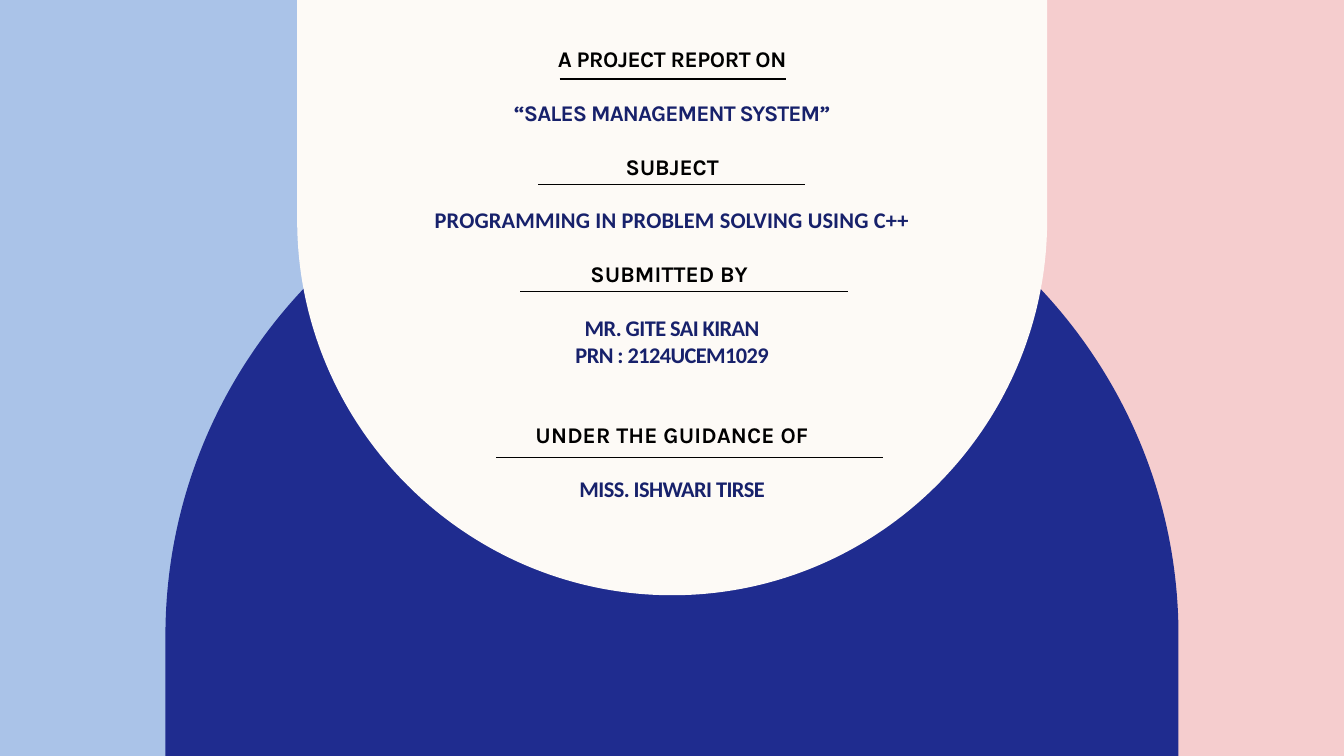
from collections import namedtuple
from dataclasses import dataclass

from lxml import etree
from pptx import Presentation, util as u
from pptx.dml.color import RGBColor
from pptx.enum import shapes, text
from pptx.oxml.ns import qn

Box = namedtuple("Box", "left top width height")
Entry = namedtuple("Entry", "heading heading_spacing lines font spacing gap")
Rule = namedtuple("Rule", "start end top")


@dataclass(frozen=True)
class Theme:
    pink: str = "F5CDCE"
    blue: str = "AAC3E8"
    navy: str = "1F2C8F"
    cream: str = "FDFAF6"
    ink: str = "000000"
    accent: str = "17216B"
    heading_font: str = "Karla"
    name_font: str = "Calibri"
    size: float = 16
    pitch: float = 19.2
    rule_width: float = 1


THEME = Theme()
SLIDE = Box(0, 0, 33.87, 19.05)
BLUE_PANEL = Box(0, 0, 14.71, 19.1)
NAVY_ARCH = Box(4.17, 3.25, 25.53, 15.85)
CREAM_ARCH = Box(7.49, 0, 18.9, 15)
CURVE = 0.55  # handle length of a quarter circle, as a share of its radius

ENTRIES = [
    Entry("A PROJECT REPORT ON", -0.27, ["“SALES MANAGEMENT SYSTEM”"],
          THEME.heading_font, -0.6, 1),
    Entry("SUBJECT", 0, ["PROGRAMMING IN PROBLEM SOLVING USING C++"],
          THEME.name_font, 0.13, 1),
    Entry("SUBMITTED BY ", 0.1, ["MR. GITE SAI KIRAN", "PRN : 2124UCEM1029"],
          THEME.name_font, -0.4, 2),
    Entry("UNDER THE GUIDANCE OF", 0.14, ["MISS. ISHWARI TIRSE"],
          THEME.name_font, -0.4, 0),
]
# Start and end from the left of the cream arch, then distance from its top
RULES = [Rule(6.61, 12.32, 1.99), Rule(6.08, 12.8, 4.65),
         Rule(5.62, 13.87, 7.34), Rule(5.01, 14.76, 11.53)]


def paint(shape, color):
    shape.shadow.inherit = False
    shape.fill.solid()
    shape.fill.fore_color.rgb = RGBColor.from_string(color)
    shape.line.fill.background()


def add_panel(slide, box, color):
    panel = slide.shapes.add_shape(shapes.MSO_SHAPE.RECTANGLE, *map(u.Cm, box))
    paint(panel, color)


def bend(segment, start, end, upright_start):
    """Turn a straight segment into a quarter circle."""
    (x1, y1), (x2, y2) = start, end
    width, height = CURVE * (x2 - x1), CURVE * (y2 - y1)
    if upright_start:
        handles = [(x1, y1 + height), (x2 - width, y2)]
    else:
        handles = [(x1 + width, y1), (x2, y2 - height)]
    segment.tag = qn("a:cubicBezTo")
    for index, (x, y) in enumerate(handles):
        point = etree.Element(qn("a:pt"), x=str(round(x)), y=str(round(y)))
        segment.insert(index, point)


def add_arch(slide, box, color, round_top):
    """Draw a box whose top or bottom end is a half circle."""
    radius = box.width / 2
    bottom = box.top + box.height
    if round_top:
        flat, spring, crown = bottom, box.top + radius, box.top
    else:
        flat, spring, crown = box.top, bottom - radius, bottom
    right = box.left + box.width
    corners = [(box.left, flat), (box.left, spring), (box.left + radius, crown),
               (right, spring), (right, flat)]
    start, *rest = [(u.Cm(x), u.Cm(y)) for x, y in corners]
    builder = slide.shapes.build_freeform(*start)
    builder.add_line_segments(rest, close=True)
    arch = builder.convert_to_shape()
    segments = list(arch._element.iter(qn("a:lnTo")))
    points = [(int(segment[0].get("x")), int(segment[0].get("y")))
              for segment in segments]
    bend(segments[1], points[0], points[1], upright_start=True)
    bend(segments[2], points[1], points[2], upright_start=False)
    paint(arch, color)


def add_line_of_text(frame, words, *, font, color, spacing=0, gap=0):
    """Fill the next paragraph; gap is the number of free lines after it."""
    first = frame.paragraphs[0]
    paragraph = frame.add_paragraph() if first.runs else first
    paragraph.alignment = text.PP_ALIGN.CENTER
    paragraph.line_spacing = u.Pt(THEME.pitch)
    paragraph.space_after = u.Pt(THEME.pitch * gap)
    run = paragraph.add_run()
    run.text = words
    run.font.name = font
    run.font.size = u.Pt(THEME.size)
    run.font.bold = True
    run.font.color.rgb = RGBColor.from_string(color)
    run._r.get_or_add_rPr().set("spc", str(round(spacing * 100)))


def add_rule(slide, box, rule):
    top = u.Cm(box.top + rule.top)
    line = slide.shapes.add_connector(
        shapes.MSO_CONNECTOR.STRAIGHT, u.Cm(box.left + rule.start), top,
        u.Cm(box.left + rule.end), top)
    line.line.color.rgb = RGBColor.from_string(THEME.ink)
    line.line.width = u.Pt(THEME.rule_width)
    etree.SubElement(line._element.spPr, qn("a:effectLst"))


def add_background(slide):
    slide.background.fill.solid()
    slide.background.fill.fore_color.rgb = RGBColor.from_string(THEME.pink)
    add_panel(slide, BLUE_PANEL, THEME.blue)
    add_arch(slide, NAVY_ARCH, THEME.navy, round_top=True)
    add_arch(slide, CREAM_ARCH, THEME.cream, round_top=False)


def add_title_text(slide, box):
    text_box = slide.shapes.add_textbox(
        u.Cm(box.left + 0.57), u.Cm(box.top + 1.14),
        u.Cm(box.width - 1.14), u.Cm(12.24))
    frame = text_box.text_frame
    frame.word_wrap = True
    frame.vertical_anchor = text.MSO_ANCHOR.TOP
    frame.margin_top = frame.margin_bottom = 0
    for entry in ENTRIES:
        add_line_of_text(frame, entry.heading, font=THEME.heading_font,
                         color=THEME.ink, spacing=entry.heading_spacing, gap=1)
        for number, words in enumerate(entry.lines, 1):
            last = number == len(entry.lines)
            add_line_of_text(frame, words, font=entry.font, color=THEME.accent,
                             spacing=entry.spacing, gap=entry.gap if last else 0)
    for rule in RULES:
        add_rule(slide, box, rule)


def main():
    presentation = Presentation()
    presentation.slide_width = u.Cm(SLIDE.width)
    presentation.slide_height = u.Cm(SLIDE.height)
    slide = presentation.slides.add_slide(presentation.slide_layouts[6])
    add_background(slide)
    add_title_text(slide, CREAM_ARCH)
    presentation.save("out.pptx")


if __name__ == "__main__":
    main()
